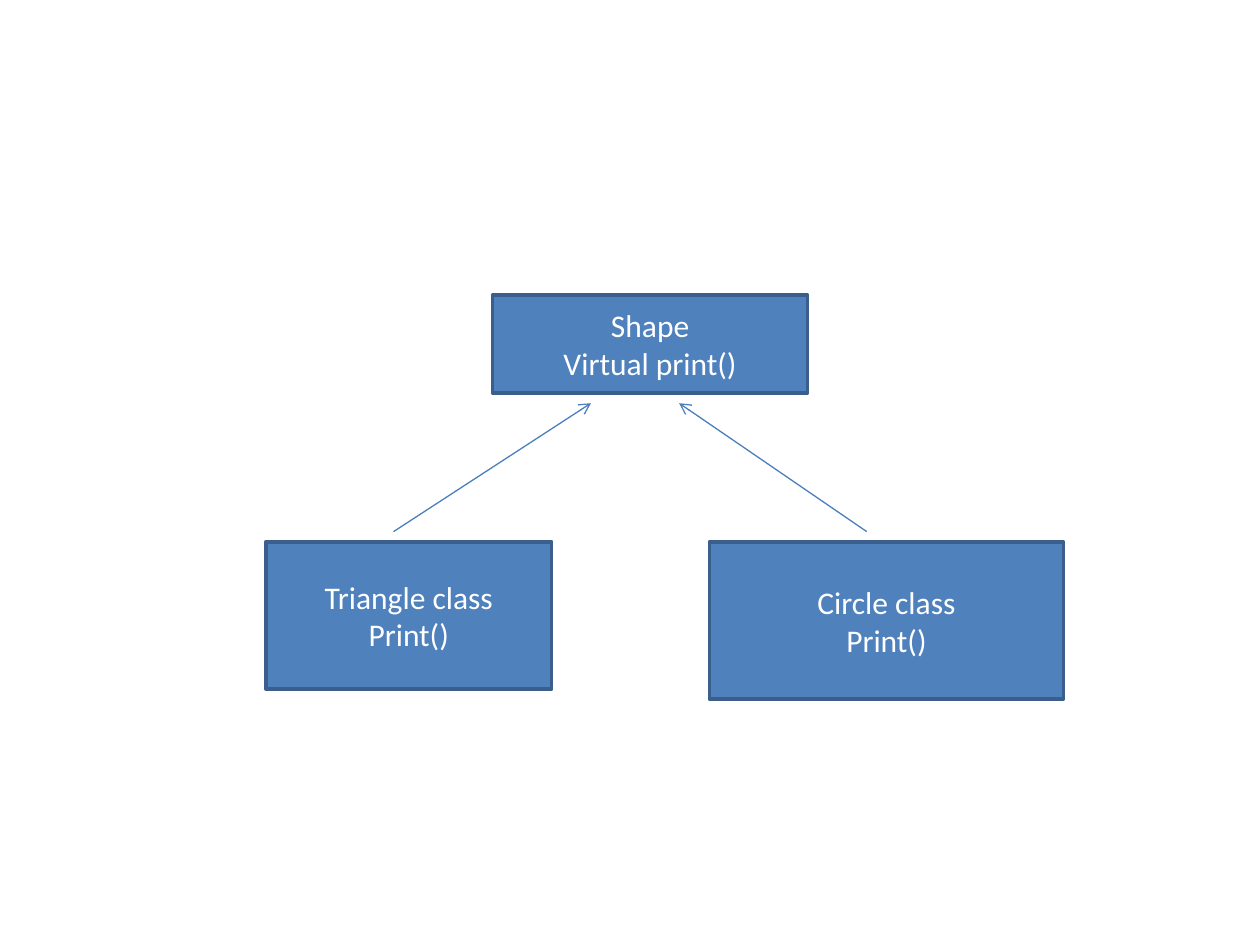
from dataclasses import dataclass

from lxml import etree
from pptx import Presentation
from pptx.dml.color import RGBColor
from pptx.enum import shapes, text
from pptx.oxml import ns
from pptx.util import Pt

CLASSES = [
    (("Shape", "Virtual print()"), (281.5, 168.5, 180, 56.2)),
    (("Triangle class", "Print()"), (151.9, 309.6, 163.4, 84.2)),
    (("Circle class", "Print()"), (405.4, 309.6, 202.3, 90)),
]
INHERITANCE = [
    ((224.9, 303.8), (337.7, 230.4)),
    ((495.3, 303.8), (388.1, 230.4)),
]


@dataclass(frozen=True)
class Theme:
    fill: RGBColor = RGBColor.from_string("4F81BD")
    border: RGBColor = RGBColor.from_string("3A5F8C")
    arrow: RGBColor = RGBColor.from_string("4B7EBC")
    label: RGBColor = RGBColor.from_string("FFFFFF")
    font: str = "Calibri"
    size: float = 18
    border_width: float = 2
    arrow_width: float = 0.75


THEME = Theme()


def set_line(line, color, width):
    line.color.rgb = color
    line.width = Pt(width)


def add_class(slide, members, bounds):
    box = slide.shapes.add_shape(shapes.MSO_SHAPE.RECTANGLE, *map(Pt, bounds))
    box.shadow.inherit = False
    box.fill.solid()
    box.fill.fore_color.rgb = THEME.fill
    set_line(box.line, THEME.border, THEME.border_width)
    label = box.text_frame
    label.word_wrap = True
    label.vertical_anchor = text.MSO_ANCHOR.MIDDLE
    label.text = "\n".join(members)
    for member in label.paragraphs:
        member.alignment = text.PP_ALIGN.CENTER
        for name, value in {"name": THEME.font, "size": Pt(THEME.size)}.items():
            setattr(member.runs[0].font, name, value)
        member.runs[0].font.color.rgb = THEME.label


def add_inheritance(slide, child, parent):
    arrow = slide.shapes.add_connector(
        shapes.MSO_CONNECTOR.STRAIGHT, *map(Pt, child + parent))
    set_line(arrow.line, THEME.arrow, THEME.arrow_width)
    properties = arrow.element.spPr
    etree.SubElement(properties.find(ns.qn("a:ln")), ns.qn("a:tailEnd"), type="arrow")
    etree.SubElement(properties, ns.qn("a:effectLst"))


def main():
    deck = Presentation()
    deck.slide_width, deck.slide_height = Pt(720), Pt(540)
    slide = deck.slides.add_slide(deck.slide_layouts[6])
    for members, bounds in CLASSES:
        add_class(slide, members, bounds)
    for child, parent in INHERITANCE:
        add_inheritance(slide, child, parent)
    deck.save("out.pptx")


if __name__ == "__main__":
    main()
